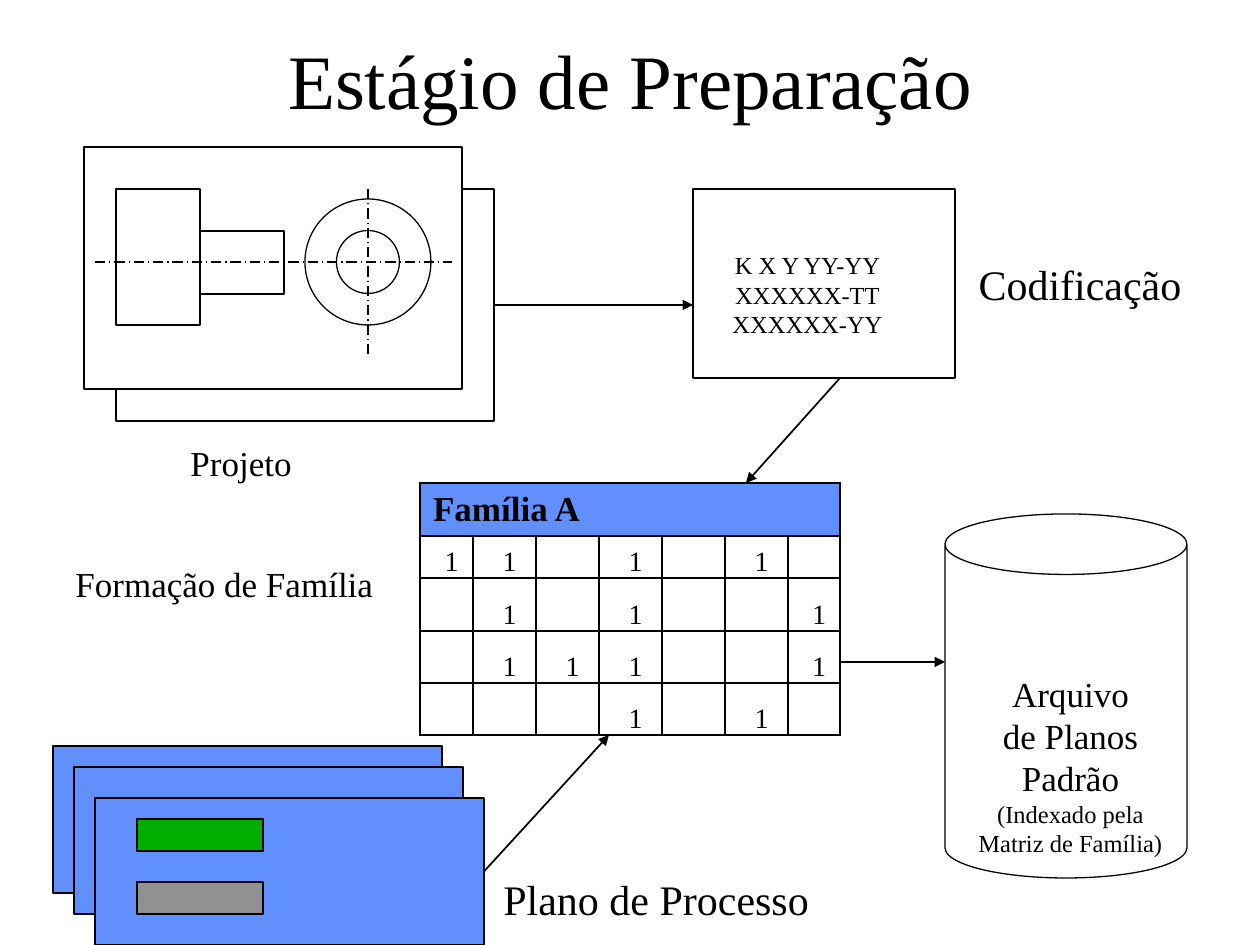
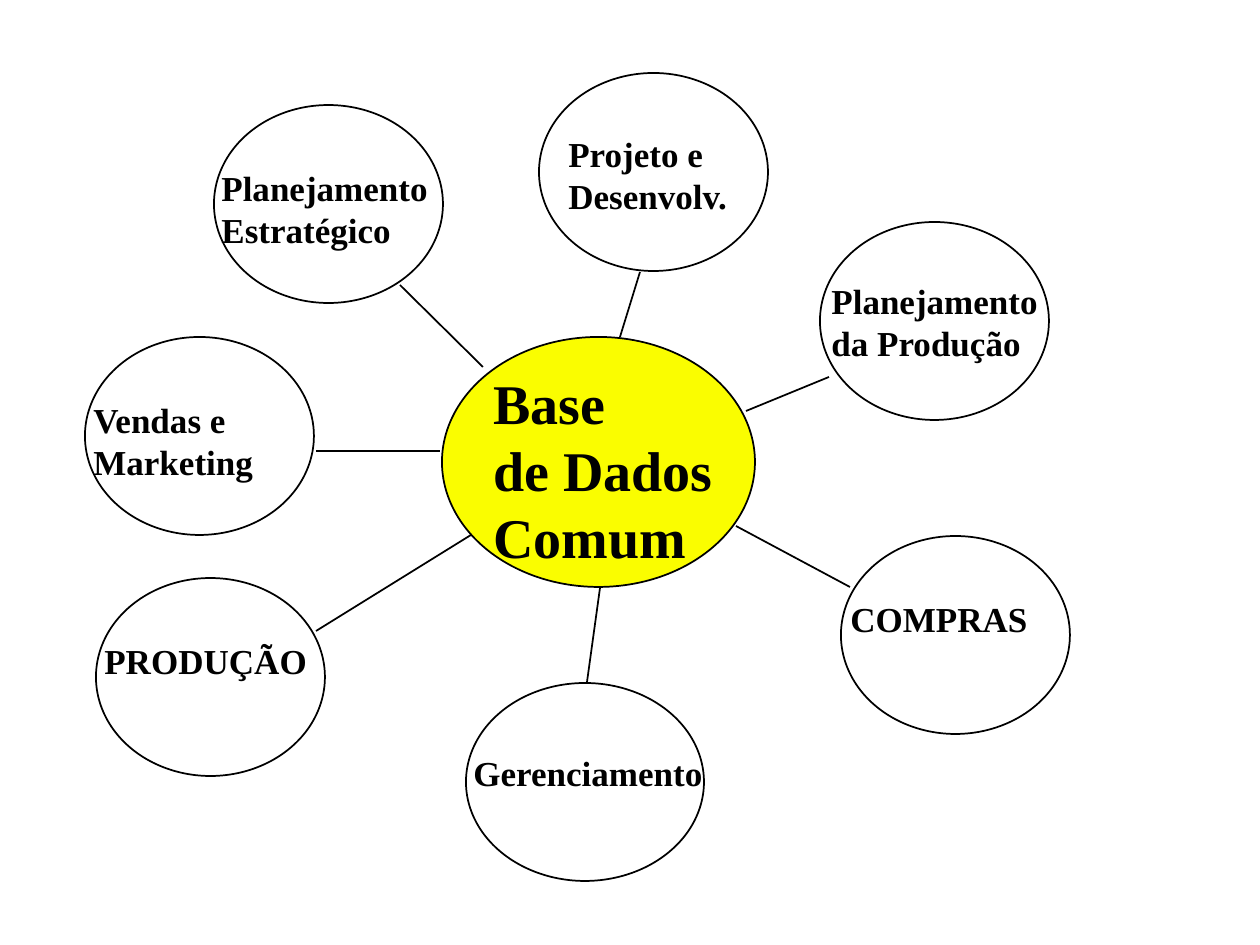
from lxml import etree
from pptx import Presentation
from pptx.dml.color import RGBColor
from pptx.enum.dml import MSO_LINE
from pptx.enum.shapes import MSO_CONNECTOR, MSO_SHAPE as Shape
from pptx.enum.text import MSO_ANCHOR as Anchor, MSO_AUTO_SIZE as AutoSize, PP_ALIGN as Align
from pptx.oxml import parse_xml
from pptx.oxml.ns import nsdecls, qn
from pptx.util import Pt

EMU_PER_PX = 914400 / 126
FONT = "Times New Roman"
COLORS = {"ink": "000000", "paper": "FFFFFF", "blue": "618FFD",
          "green": "00AE00", "gray": "919191", "yellow": "FAFD00"}
RIGHT_SIDE = 3


def px(*lengths):
    return [round(length * EMU_PER_PX) for length in lengths]


def rgb(name):
    return RGBColor.from_string(COLORS[name])


class Sketch:
    """Holds the deck, its style and the slide being drawn."""

    def __init__(self, width, height):
        self.deck = Presentation()
        self.deck.slide_width, self.deck.slide_height = px(width, height)
        self.slide = None

    def new_slide(self):
        self.slide = self.deck.slides.add_slide(self.deck.slide_layouts[6])

    def style_text(self, para, size, bold=False):
        for span in para.runs:
            span.font.name = FONT
            span.font.size = Pt(size)
            span.font.bold = bold
            span.font.color.rgb = rgb("ink")

    def shape(self, kind, left, top, width, height, fill=None, weight=1):
        shape = self.slide.shapes.add_shape(kind, *px(left, top, width, height))
        shape.shadow.inherit = False
        if fill:
            shape.fill.solid()
            shape.fill.fore_color.rgb = rgb(fill)
        else:
            shape.fill.background()
        shape.line.color.rgb = rgb("ink")
        shape.line.width = Pt(weight)
        return shape

    def text(self, lines, left, top, width, height, size=20, bold=False,
             align=Align.LEFT, anchor=Anchor.TOP, note=()):
        """Write one paragraph per line, then the note lines in 14 pt."""
        box = self.slide.shapes.add_textbox(*px(left, top, width, height))
        frame = box.text_frame
        frame.text = "\n".join([*lines, *note])
        frame.word_wrap = True
        frame.auto_size = AutoSize.NONE
        frame.vertical_anchor = anchor
        for index, para in enumerate(frame.paragraphs):
            para.alignment = align
            self.style_text(para, size if index < len(lines) else 14, bold)
        return box

    def line(self, x1, y1, x2, y2, weight=1, arrow=False, dash=None, source=None):
        """Draw a straight line, joined to the right side of source if given."""
        line = self.slide.shapes.add_connector(MSO_CONNECTOR.STRAIGHT, *px(x1, y1, x2, y2))
        if source is not None:
            line.begin_connect(source, RIGHT_SIDE)
        line.line.color.rgb = rgb("ink")
        line.line.width = Pt(weight)
        if dash:
            line.line.dash_style = dash
        if arrow:
            etree.SubElement(line.line._get_or_add_ln(), qn("a:tailEnd"), type="triangle")
        etree.SubElement(line._element.spPr, qn("a:effectLst"))
        return line

    def cell(self, cell, text, fill=None, size=16, bold=False,
             align=Align.CENTER, anchor=Anchor.BOTTOM, inset=10):
        cell.text = text
        cell.margin_left, cell.margin_right, cell.margin_top, cell.margin_bottom = px(inset, 0, 0, 0)
        cell.vertical_anchor = anchor
        para = cell.text_frame.paragraphs[0]
        para.alignment = align
        self.style_text(para, size, bold)
        if fill:
            cell.fill.solid()
            cell.fill.fore_color.rgb = rgb(fill)
        else:
            cell.fill.background()
        properties = cell._tc.get_or_add_tcPr()
        for index, side in enumerate("LRTB"):
            properties.insert(index, parse_xml(
                f'<a:ln{side} {nsdecls("a")} w="{Pt(1)}"><a:solidFill>'
                f'<a:srgbClr val="{COLORS["ink"]}"/></a:solidFill></a:ln{side}>'))

    def matrix(self, title, rows, left, top, widths, heights):
        """Draw a table with one merged title row above the rows of marks."""
        table = self.slide.shapes.add_table(
            len(heights), len(widths), *px(left, top, sum(widths), sum(heights))).table
        table.first_row = table.horz_banding = False
        for column, width in zip(table.columns, px(*widths)):
            column.width = width
        for row, height in zip(table.rows, px(*heights)):
            row.height = height
        table.cell(0, 0).merge(table.cell(0, len(widths) - 1))
        for index in range(len(widths)):
            self.cell(table.cell(0, index), "" if index else title, "blue", 20, True,
                      Align.LEFT, Anchor.MIDDLE, 13)
        for row_index, marks in enumerate(rows, start=1):
            for index, mark in enumerate(marks):
                self.cell(table.cell(row_index, index), mark.strip("."))


def draw_part_drawing(sketch):
    """Draw the two sheets with the stepped pin; return the back sheet."""
    back_sheet = sketch.shape(Shape.RECTANGLE, 116, 189, 378, 232)
    for left, top, width, height in [(84, 147, 378, 242), (116, 189, 84, 136), (200, 231, 84, 63)]:
        sketch.shape(Shape.RECTANGLE, left, top, width, height, "paper", 0.75)
    ring = sketch.shape(Shape.DONUT, 305, 199, 126, 126, "paper", 0.75)
    ring.adjustments[0] = 0.25
    for axis in [(95, 262, 452, 262), (368, 189, 368, 357)]:
        sketch.line(*axis, weight=0.75, dash=MSO_LINE.LONG_DASH_DOT)
    return back_sheet


def draw_preparation(sketch):
    sketch.new_slide()
    centered = {"align": Align.CENTER, "anchor": Anchor.MIDDLE}
    sketch.text(["Estágio de Preparação"], 95, 42, 1071, 73, size=44, **centered)

    sketch.shape(Shape.RECTANGLE, 693, 189, 262, 189, weight=0.75)
    sketch.text(["K X Y YY-YY", "XXXXXX-TT", "XXXXXX-YY"], 703, 244, 209, 101, size=14, **centered)
    sketch.text(["Codificação"], 956, 252, 248, 63, size=24, **centered)

    back_sheet = draw_part_drawing(sketch)
    sketch.text(["Projeto"], 168, 435, 146, 55, **centered)
    sketch.text(["Formação de Família"], 63, 556, 345, 55)

    sketch.matrix("Família A", ["11.1.1.", ".1.1..1", ".111..1", "...1.1."], 420, 483,
                  [53, 63, 63, 63, 63, 63, 52], [53, 42, 53, 52, 52])

    for left, top in [(53, 746), (74, 767), (95, 798)]:
        front_plan = sketch.shape(Shape.RECTANGLE, left, top, 389, 147, "blue")
    for top, fill in [(819, "green"), (882, "gray")]:
        sketch.shape(Shape.RECTANGLE, 137, top, 126, 32, fill)
    sketch.text(["Plano de Processo"], 491, 867, 350, 63, size=24)

    archive = sketch.shape(Shape.CAN, 945, 514, 242, 364, weight=0.75)
    archive.adjustments[0] = 0.25
    sketch.text(["Arquivo", "de Planos", "Padrão"], 956, 666, 229, 198,
                note=["(Indexado pela", "Matriz de Família)"], **centered)

    sketch.line(494, 305, 693, 305, arrow=True, source=back_sheet)
    sketch.line(840, 378, 746, 483, arrow=True)
    sketch.line(483, 872, 609, 735, arrow=True, source=front_plan)
    sketch.line(840, 662, 945, 662, arrow=True)


def draw_common_database(sketch):
    sketch.new_slide()
    # ellipse left, top, width; text left, top, width; lines
    departments = [
        (214, 105, 229, 209, 160, 245, ["Planejamento", "Estratégico"]),
        (820, 222, 229, 819, 273, 245, ["Planejamento", "da Produção"]),
        (85, 337, 229, 81, 392, 200, ["Vendas e", "Marketing"]),
        (539, 73, 229, 556, 126, 200, ["Projeto e", "Desenvolv."]),
        (96, 578, 229, 92, 633, 240, ["PRODUÇÃO"]),
        (466, 683, 238, 461, 745, 270, ["Gerenciamento"]),
        (841, 536, 229, 838, 591, 215, ["COMPRAS"]),
    ]
    for left, top, width, text_left, text_top, text_width, lines in departments:
        sketch.shape(Shape.OVAL, left, top, width, 198, "paper")
        sketch.text(lines, text_left, text_top, text_width, 12 + 42 * len(lines), bold=True)

    sketch.shape(Shape.OVAL, 442, 337, 313, 250, "yellow")
    sketch.text(["Base", "de Dados", "Comum"], 481, 362, 264, 214, size=32, bold=True)

    spokes = [(400, 285, 483, 367), (620, 337, 640, 272), (746, 411, 829, 377),
              (600, 588, 587, 682), (316, 631, 471, 535), (316, 451, 440, 451),
              (736, 526, 850, 587)]
    for spoke in spokes:
        sketch.line(*spoke)


def main():
    sketch = Sketch(1260, 945)
    draw_preparation(sketch)
    draw_common_database(sketch)
    sketch.deck.save("out.pptx")


if __name__ == "__main__":
    main()
